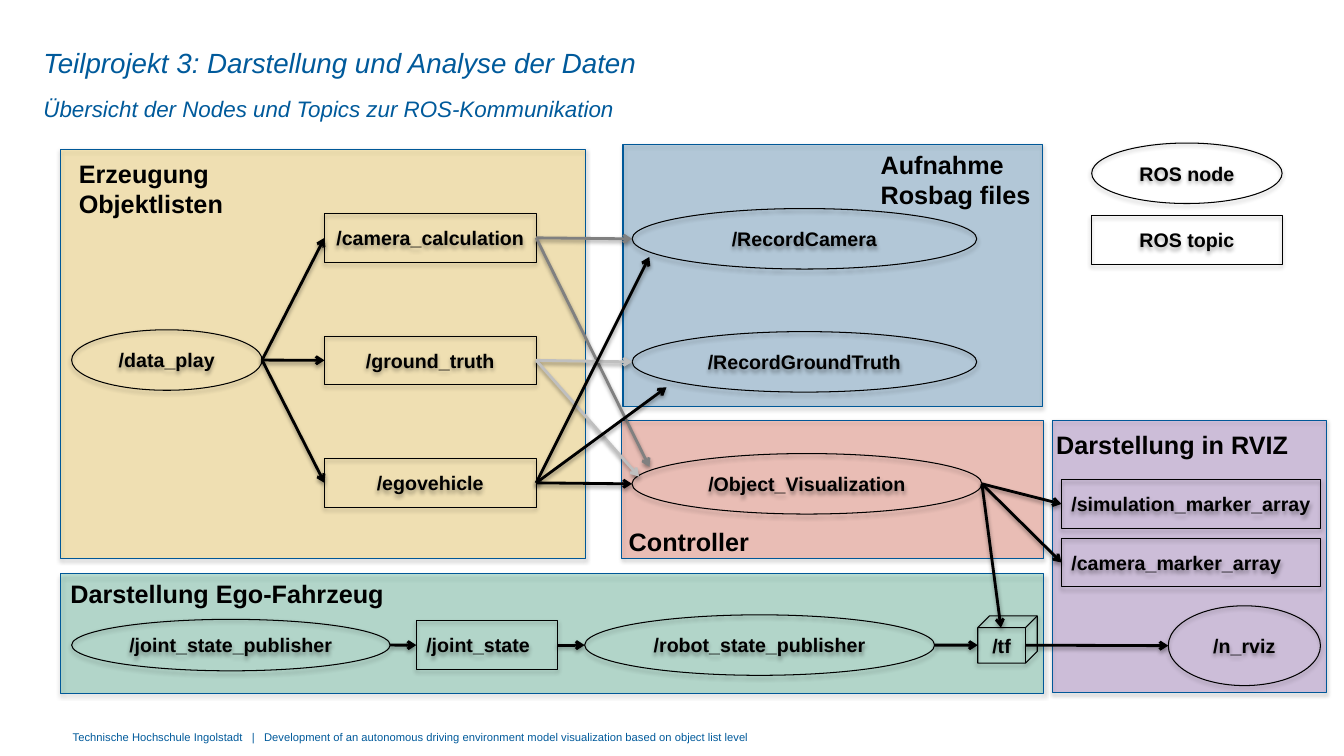
from lxml.etree import SubElement
from pptx import Presentation
from pptx.dml.color import RGBColor
from pptx.enum.shapes import MSO_CONNECTOR as LINK, MSO_SHAPE as KIND
from pptx.enum.text import MSO_ANCHOR as ANCHOR, PP_ALIGN as ALIGN
from pptx.oxml.ns import qn
from pptx.util import Pt

BLUE, BLACK, GRAY, PALE = "005A9B", "000000", "808080", "BFBFBF"
NODE, TOPIC, CUBE = KIND.OVAL, KIND.RECTANGLE, KIND.CUBE
HIGH = 34.6   # height of a topic
OVAL = 43.2   # height of a node


def color(code):
    return RGBColor.from_string(code)


def points(*nums):
    return [Pt(num) for num in nums]


def shade(item, alpha):
    """Add a soft drop shadow; call after fill and line are set."""
    group = SubElement(item._element.spPr, qn("a:effectLst"))
    drop = SubElement(group, qn("a:outerShdw"), blurRad=str(Pt(3.1)),
                      dist=str(Pt(1.8)), dir="5400000", rotWithShape="0")
    tint = SubElement(drop, qn("a:srgbClr"), val=BLACK)
    SubElement(tint, qn("a:alpha"), val=str(alpha * 1000))


def write(frame, words, size=14, code=BLACK, bold=False, italic=False,
          align=ALIGN.LEFT, anchor=ANCHOR.TOP, inset=(7.2, 3.6, 7.2, 3.6),
          space=None):
    frame.word_wrap = True
    frame.vertical_anchor = anchor
    (frame.margin_left, frame.margin_top,
     frame.margin_right, frame.margin_bottom) = points(*inset)
    frame.text = words
    para = frame.paragraphs[0]
    para.alignment = align
    if space:
        para.line_spacing = space
    font = para.runs[0].font
    font.name, font.size = "Arial", Pt(size)
    font.bold, font.italic = bold, italic
    font.color.rgb = color(code)


def label(pad, box, words, **form):
    write(pad.add_textbox(*points(*box)).text_frame, words, **form)


def panel(pad, box, code):
    area = pad.add_shape(TOPIC, *points(*box))
    area.fill.solid()
    area.fill.fore_color.rgb = color(code)
    tint = area._element.spPr.find(".//" + qn("a:srgbClr"))
    SubElement(tint, qn("a:alpha"), val="24000")
    area.line.color.rgb = color("005898")
    area.line.width = Pt(0.75)
    shade(area, 35)


def node(pad, kind, box, words, align=ALIGN.CENTER):
    item = pad.add_shape(kind, *points(*box))
    item.fill.background()
    item.line.color.rgb = color(BLACK)
    item.line.width = Pt(0.75)
    shade(item, 35)
    left = 7.2 if align == ALIGN.LEFT else 4
    write(item.text_frame, words, bold=True, align=align,
          anchor=ANCHOR.MIDDLE, inset=(left, 3.6, 4, 3.6))
    return item


def spot(item, part):
    """Point at a share of the item's width and height."""
    return (int(item.left + item.width * part[0]),
            int(item.top + item.height * part[1]))


def arrow(pad, start, end, code=BLACK, leave=(1, 0.5), reach=(0, 0.5)):
    line = pad.add_connector(LINK.STRAIGHT, *spot(start, leave),
                             *spot(end, reach))
    line.line.color.rgb = color(code)
    line.line.width = Pt(2)
    SubElement(line.line._get_or_add_ln(), qn("a:tailEnd"), type="arrow")
    shade(line, 38)


def header(slide):
    title = slide.shapes.title
    title.left, title.top, title.width, title.height = points(31, 31.7, 768, 26)
    look = dict(code=BLUE, italic=True, inset=(0, 0, 0, 0))
    write(title.text_frame, "Teilprojekt 3: Darstellung und Analyse der Daten",
          size=19.8, anchor=ANCHOR.MIDDLE, **look)
    label(slide.shapes, (31, 58.3, 768, 26.6),
          "Übersicht der Nodes und Topics zur ROS-Kommunikation",
          size=16, space=1.5, **look)


def footer(pad, x, y):
    label(pad, (x, y, 520, 19),
          "Technische Hochschule Ingolstadt   |   Development of an autonomous "
          "driving environment model visualization based on object list level",
          size=8, code=BLUE, inset=(0, 0, 0, 0))


def source(pad, x, y, w, h):
    panel(pad, (x, y, w, h), "FFC000")
    play = node(pad, NODE, (x + 8, y + 129, 136, OVAL), "/data_play")
    names = "/camera_calculation", "/ground_truth", "/egovehicle"
    topics = [node(pad, TOPIC, (x + 188.6, y + 46 + 87.5 * i, 151.2, HIGH), name)
              for i, name in enumerate(names)]
    label(pad, (x + 6, y + 3, 148, 51), "Erzeugung Objektlisten",
          size=18, bold=True)
    return play, topics


def record(pad, x, y, w, h):
    panel(pad, (x, y, w, h), BLUE)
    nodes = [node(pad, NODE, (x + 6.5, y + 46 + 87.9 * i, 246.2, OVAL), name)
             for i, name in enumerate(("/RecordCamera", "/RecordGroundTruth"))]
    label(pad, (x + 177, y, 128, 51), "Aufnahme Rosbag files",
          size=18, bold=True)
    return nodes


def control(pad, x, y, w, h):
    panel(pad, (x, y, w, h), "E6320F")
    label(pad, (x - 2.2, y + 72, 148, 28.8), "Controller", size=18, bold=True)
    return node(pad, NODE, (x + 7.2, y + 23.8, 250, OVAL),
                "/Object_Visualization")


def ego(pad, x, y, w, h):
    panel(pad, (x, y, w, h), "009664")
    label(pad, (x, y, 261, 28.8), "Darstellung Ego-Fahrzeug",
          size=18, bold=True)
    mid = y + 51.1
    joint = node(pad, NODE, (x + 8, mid - 18.4, 227.5, 36.8),
                 "/joint_state_publisher")
    state = node(pad, TOPIC, (x + 254.2, mid - HIGH / 2, 100.8, HIGH),
                 "/joint_state", align=ALIGN.LEFT)
    robot = node(pad, NODE, (x + 374.4, mid - OVAL / 2, 250, OVAL),
                 "/robot_state_publisher")
    cube = node(pad, CUBE, (x + 655.2, y + 30.2, 42.5, 33.8), "/tf")
    arrow(pad, joint, state)
    arrow(pad, state, robot)
    arrow(pad, robot, cube, reach=(0, 0.62))
    return cube


def rviz(pad, x, y, w, h):
    panel(pad, (x, y, w, h), "7030A0")
    label(pad, (x - 4.3, y + 2.9, 196, 28.8), "Darstellung in RVIZ",
          size=18, bold=True)
    names = "/simulation_marker_array", "/camera_marker_array"
    marks = [node(pad, TOPIC, (x + 6.5, y + 42.5 + 41.8 * i, 185, HIGH), name,
                  align=ALIGN.LEFT) for i, name in enumerate(names)]
    view = node(pad, NODE, (x + 82.8, y + 132.5, 108.7, 57), "/n_rviz")
    return marks, view


def legend(pad, x, y, w):
    node(pad, NODE, (x, y, w, OVAL), "ROS node")
    node(pad, TOPIC, (x, y + 51.9, w, HIGH), "ROS topic")


def main():
    deck = Presentation()
    deck.slide_width, deck.slide_height = points(960, 540)
    slide = deck.slides.add_slide(deck.slide_layouts[5])
    pad = slide.shapes
    header(slide)
    footer(pad, 52, 522)
    play, topics = source(pad, 43.2, 106.6, 375, 292.3)
    save_cam, save_truth = record(pad, 445, 103, 300, 187.2)
    show = control(pad, 444.2, 300.2, 301, 98.6)
    cube = ego(pad, 43.2, 409.7, 702, 85.7)
    marks, view = rviz(pad, 751.7, 300.2, 195.8, 194.4)
    legend(pad, 779.8, 102.2, 136)

    cam, truth, car = topics
    for topic in topics:
        arrow(pad, play, topic)
    for mark in marks:
        arrow(pad, show, mark)
    arrow(pad, show, cube, reach=(0.39, 0.25))
    arrow(pad, cube, view, leave=(0.8, 0.62))
    arrow(pad, cam, save_cam, GRAY)
    arrow(pad, cam, show, GRAY, reach=(0.05, 0.22))
    arrow(pad, truth, save_truth, PALE)
    arrow(pad, truth, show, PALE, reach=(0.02, 0.38))
    arrow(pad, car, show)
    arrow(pad, car, save_truth, reach=(0.1, 0.92))
    arrow(pad, car, save_cam, reach=(0.05, 0.8))
    deck.save("out.pptx")


if __name__ == "__main__":
    main()
